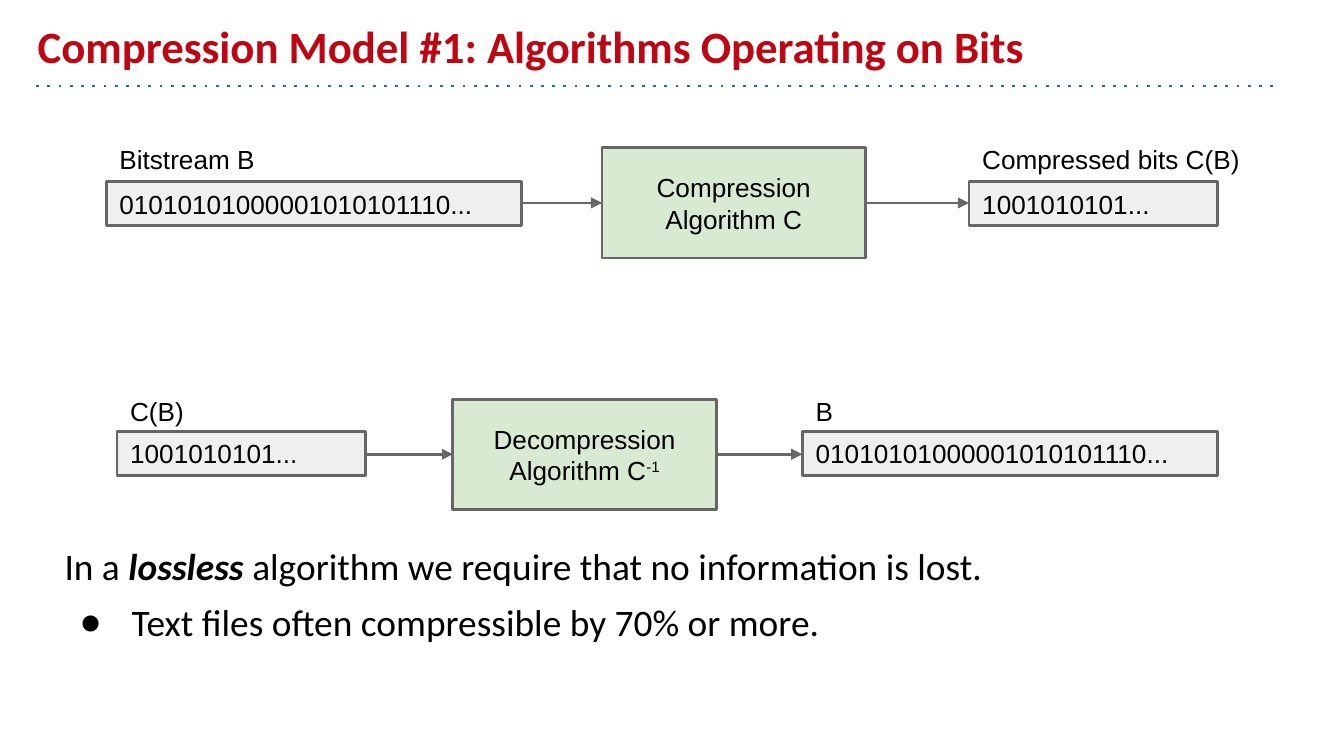
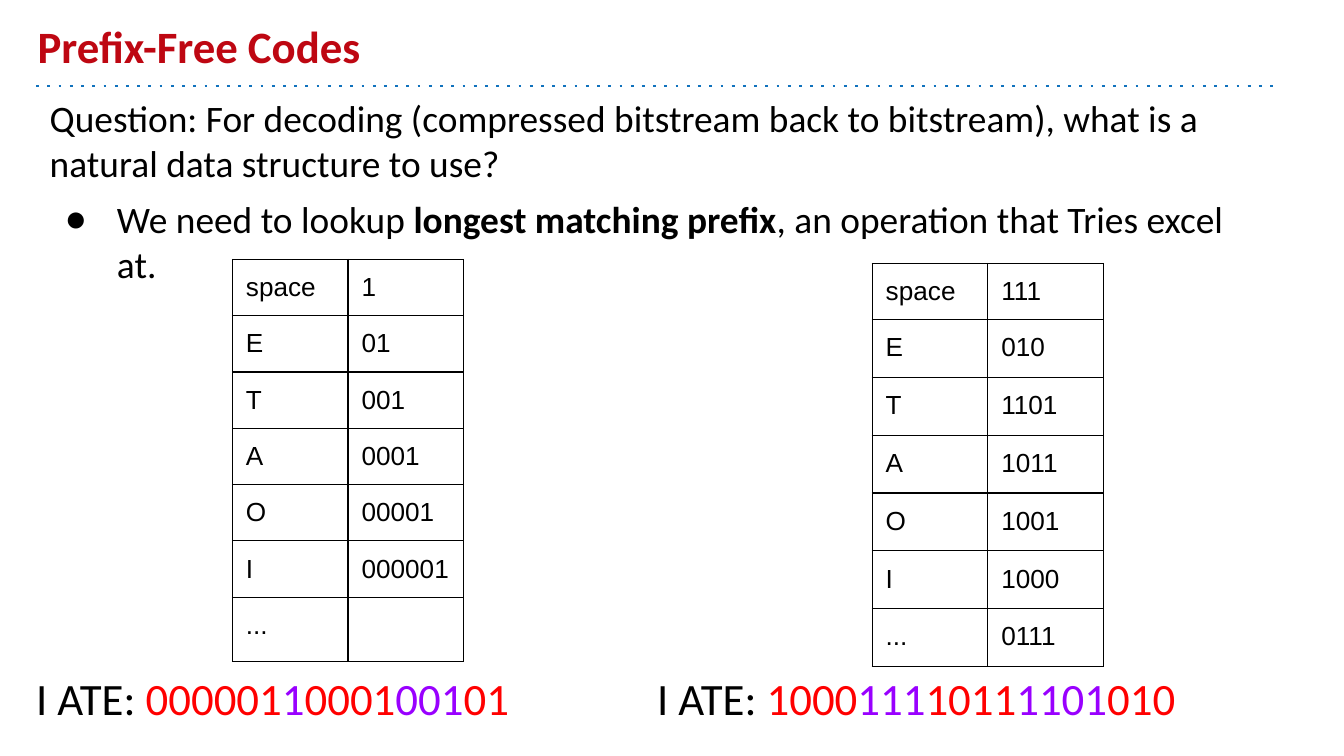
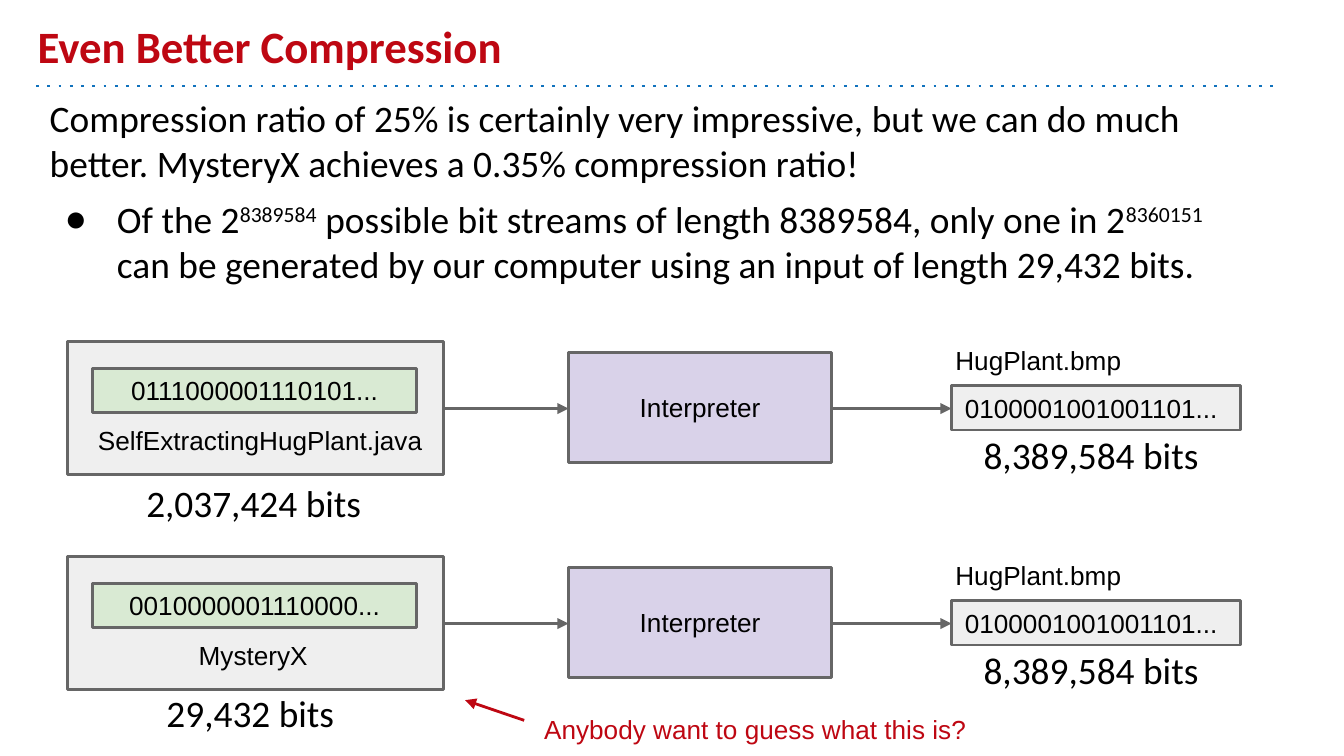
from pptx import Presentation
from pptx import util as u
from pptx.dml import color as dml
from pptx.enum import shapes, text
from pptx.oxml import xmlchemy

COLORS = {
    "title": "BE0712", "rule": "1072BD", "ink": "000000", "outline": "666666",
    "bits": "EFEFEF", "green": "D9EAD3", "violet": "D9D2E9", "paper": "FFFFFF",
    "odd": "FF0000", "even": "9900FF",
}
HEAD, SMALL = "Calibri", "Arial"
LABEL_HEIGHT, STEP_SIZE = 0.33, (1.96, 0.82)
BITS = "01010101000001010101110..."
PACKED = "1001010101..."


def rgb(name):
    return dml.RGBColor.from_string(COLORS[name])


def add_element(parent, tag, **attributes):
    child = xmlchemy.OxmlElement(tag)
    for key, value in attributes.items():
        child.set(key, value)
    parent.append(child)
    return child


def write(para, words, size=14, font=SMALL, color="ink", bold=False,
          italic=False, raised=False):
    """Add one formatted span to a paragraph."""
    span = para.add_run()
    span.text = words
    span.font.size, span.font.name = u.Pt(size), font
    span.font.bold, span.font.italic = bold, italic
    span.font.color.rgb = rgb(color)
    if raised:
        span._r.get_or_add_rPr().set("baseline", "30000")


class SlideBuilder:
    def __init__(self):
        self.deck = Presentation()
        self.deck.slide_width = u.Inches(10)
        self.deck.slide_height = u.Inches(10) * 9 // 16
        self.page = None

    def new_page(self, title):
        self.page = self.deck.slides.add_slide(self.deck.slide_layouts[1])
        holder = self.page.shapes.title
        self.place(holder, 0.18, 0.1, 9, 0.54)
        self.fill_text(holder, [[(title, {"bold": True})]], size=24, font=HEAD,
                       color="title", anchor="BOTTOM")
        self.line((0.27, 0.64), (9.5, 0.64), color="rule", dotted=True)

    def place(self, box, left, top, width, height):
        box.left, box.top = u.Inches(left), u.Inches(top)
        box.width, box.height = u.Inches(width), u.Inches(height)

    def fill_text(self, box, lines, anchor="TOP", align="LEFT", **style):
        """Each line is a string or a list of (words, format) spans."""
        frame = box.text_frame
        frame.word_wrap = True
        frame.auto_size = text.MSO_AUTO_SIZE.NONE
        frame.vertical_anchor = getattr(text.MSO_ANCHOR, anchor)
        frame.margin_left = frame.margin_right = u.Inches(0.1)
        frame.margin_top = frame.margin_bottom = u.Inches(0.1)
        for index, line in enumerate(lines):
            para = frame.add_paragraph() if index else frame.paragraphs[0]
            para.alignment = getattr(text.PP_ALIGN, align)
            spans = [(line, {})] if isinstance(line, str) else line
            for words, extra in spans:
                write(para, words, **{**style, **extra})
        return frame

    def body(self, area, intro, point):
        """Fill the body placeholder with an intro and one bulleted point."""
        holder = self.page.placeholders[1]
        self.place(holder, *area)
        frame = self.fill_text(holder, [intro, point], size=20, font=HEAD)
        first, second = frame.paragraphs
        props = first._p.get_or_add_pPr()
        props.set("marL", "0")
        props.set("indent", "0")
        add_element(props, "a:buNone")
        props = second._p.get_or_add_pPr()
        props.set("marL", str(u.Inches(0.5)))
        props.set("indent", str(u.Inches(-0.39)))
        add_element(add_element(props, "a:buClr"), "a:srgbClr", val=COLORS["ink"])
        add_element(props, "a:buChar", char="●")
        first.space_before, second.space_before = u.Pt(0), u.Pt(6)

    def label(self, left, top, width, line, height=LABEL_HEIGHT, **style):
        box = self.page.shapes.add_textbox(0, 0, 0, 0)
        self.place(box, left, top, width, height)
        self.fill_text(box, [line], **style)

    def box(self, left, top, width, height, fill, lines=(), outlined=True, **style):
        box = self.page.shapes.add_shape(shapes.MSO_SHAPE.RECTANGLE, 0, 0, 0, 0)
        self.place(box, left, top, width, height)
        box.shadow.inherit = False
        box.fill.solid()
        box.fill.fore_color.rgb = rgb(fill)
        if outlined:
            box.line.color.rgb = rgb("outline")
            box.line.width = u.Pt(1.5)
        else:
            box.line.fill.background()
        self.fill_text(box, lines, anchor="MIDDLE", **style)

    def bits(self, left, top, width, digits, fill="bits", **style):
        self.box(left, top, width, LABEL_HEIGHT, fill, [digits], **style)

    def step(self, left, top, lines, fill="green"):
        self.box(left, top, *STEP_SIZE, fill, lines, align="CENTER")

    def line(self, start, end, color="outline", dotted=False):
        link = self.page.shapes.add_connector(
            shapes.MSO_CONNECTOR.STRAIGHT, *map(u.Inches, start + end))
        link.line.color.rgb = rgb(color)
        link.line.width = u.Pt(1.5)
        if dotted:
            add_element(link.line._get_or_add_ln(), "a:prstDash", val="dot")
        add_element(link._element.spPr, "a:effectLst")
        return link

    def arrow(self, start, end, color="outline"):
        link = self.line(start, end, color)
        add_element(link.line._get_or_add_ln(), "a:tailEnd", type="triangle")

    def code_table(self, left, top, codes, row_heights):
        """Two columns: symbol and code word."""
        frame = self.page.shapes.add_table(
            len(codes), 2, u.Inches(left), u.Inches(top),
            u.Inches(1.72), u.Inches(sum(row_heights)))
        table = frame.table
        table.first_row = table.horz_banding = False
        for column in table.columns:
            column.width = u.Inches(0.86)
        for row, height, entry in zip(table.rows, row_heights, codes):
            row.height = u.Inches(height)
            for cell, words in zip(row.cells, entry):
                self.table_cell(cell, words)

    def table_cell(self, cell, words):
        cell.margin_left = cell.margin_right = u.Inches(0.1)
        cell.margin_top = cell.margin_bottom = u.Inches(0.1)
        props = cell._tc.get_or_add_tcPr()
        for side in "LRTB":
            edge = add_element(props, f"a:ln{side}", w=str(u.Pt(0.75)))
            add_element(add_element(edge, "a:solidFill"), "a:srgbClr", val=COLORS["ink"])
        cell.fill.solid()
        cell.fill.fore_color.rgb = rgb("paper")
        para = cell.text_frame.paragraphs[0]
        if words:
            write(para, words)
        else:
            end = add_element(para._p, "a:endParaRPr", sz="1800")
            add_element(end, "a:latin", typeface=SMALL)

    def encoded(self, left, width, pieces):
        """Message with its code words in alternating colours."""
        spans = [("I ATE: ", {})]
        for index, piece in enumerate(pieces):
            spans.append((piece, {"color": "even" if index % 2 else "odd"}))
        self.label(left, 4.85, width, spans, height=0.68, anchor="MIDDLE",
                   size=24, font=HEAD)


def model_page(show):
    show.new_page("Compression Model #1: Algorithms Operating on Bits")
    show.body((0.38, 3.94, 9.23, 1.44),
              [("In a ", {}), ("lossless", {"bold": True, "italic": True}),
               (" algorithm we require that no information is lost.", {})],
              "Text files often compressible by 70% or more.")
    # Per flow: bits top, label top, step top, source, step, result
    wide, narrow = 3.09, 1.85
    flows = [
        (1.35, 0.97, 1.1, (0.79, wide, BITS, "Bitstream B", 1.38),
         (4.48, ["Compression", "Algorithm C"]),
         (7.21, narrow, PACKED, "Compressed bits C(B)", 2.7)),
        (3.21, 2.84, 2.97, (0.87, narrow, PACKED, "C(B)", 2.7),
         (3.37, ["Decompression", [("Algorithm C", {}), ("-1", {"raised": True})]]),
         (5.97, wide, BITS, "B", 1.38)),
    ]
    for top, label_top, step_top, source, (step_left, lines), result in flows:
        middle = step_top + STEP_SIZE[1] / 2
        for left, width, digits, name, name_width in (source, result):
            show.bits(left, top, width, digits)
            show.label(left, label_top, name_width, name)
        show.step(step_left, step_top, lines)
        show.arrow((source[0] + source[1], middle), (step_left, middle))
        show.arrow((step_left + STEP_SIZE[0], middle), (result[0], middle))


def prefix_page(show):
    show.new_page("Prefix-Free Codes")
    show.body((0.27, 0.61, 9.23, 4.54),
              "Question: For decoding (compressed bitstream back to bitstream), "
              "what is a natural data structure to use?",
              [("We need to lookup ", {}), ("longest matching prefix", {"bold": True}),
               (", an operation that Tries excel at.", {})])
    symbols = ["space", "E", "T", "A", "O", "I", "..."]
    unary = ["1", "01", "001", "0001", "00001", "000001", ""]
    balanced = ["111", "010", "1101", "1011", "1001", "1000", "0111"]
    show.code_table(6.49, 1.96, list(zip(symbols, balanced)), [0.4] + [0.43] * 6)
    show.code_table(1.73, 1.93, list(zip(symbols, unary)), [0.39] * 7)
    show.encoded(0.17, 3.95, ["000001", "1", "0001", "001", "01"])
    show.encoded(4.79, 4.71, ["1000", "111", "1011", "1101", "010"])


def better_page(show):
    show.new_page("Even Better Compression")
    show.body((0.27, 0.61, 9.23, 1.4),
              "Compression ratio of 25% is certainly very impressive, but we can do "
              "much better. MysteryX achieves a 0.35% compression ratio!",
              [("Of the 2", {}), ("8389584", {"raised": True}),
               (" possible bit streams of length 8389584, only one in 2", {}),
               ("8360151", {"raised": True}),
               (" can be generated by our computer using an input of length "
                "29,432 bits.", {})])
    count = {"size": 20, "font": HEAD}
    # Per program: top, digits, name (left, width, words), size label
    programs = [
        (2.54, "0111000001110101...", (0.63, 2.86, "SelfExtractingHugPlant.java"),
         (0.99, 3.45, 1.9, "2,037,424 bits", 0.58)),
        (4.14, "0010000001110000...", (1.38, 1.07, "MysteryX"),
         (1.14, 5.07, 1.52, "29,432 bits", 0.46)),
    ]
    for top, digits, (name_left, name_width, name), size in programs:
        middle = top + 0.5
        # Program
        show.label(*size, anchor="MIDDLE", **count)
        show.box(0.5, top, 2.8, 0.99, "bits")
        show.bits(0.69, top + 0.2, 2.41, digits, fill="green", align="CENTER")
        show.label(name_left, top + 0.52, name_width, name)
        # Interpreter
        show.step(4.23, top + 0.08, ["Interpreter"], fill="violet")
        # Output
        show.box(7.22, top + 0.61, 1.87, 0.46, "paper", ["8,389,584 bits"],
                 outlined=False, **count)
        show.bits(7.08, top + 0.33, 2.15, "0100001001001101...")
        show.label(7.01, top - 0.08, 2.7, "HugPlant.bmp")
        show.arrow((3.3, middle), (4.23, middle))
        show.arrow((6.19, middle), (7.08, middle))
    # Question to the audience
    show.arrow((3.9, 5.36), (3.46, 5.21), color="title")
    show.label(3.95, 5.21, 3.52, "Anybody want to guess what this is?",
               height=0.45, color="title")


def main():
    show = SlideBuilder()
    model_page(show)
    prefix_page(show)
    better_page(show)
    show.deck.save("out.pptx")


if __name__ == "__main__":
    main()
